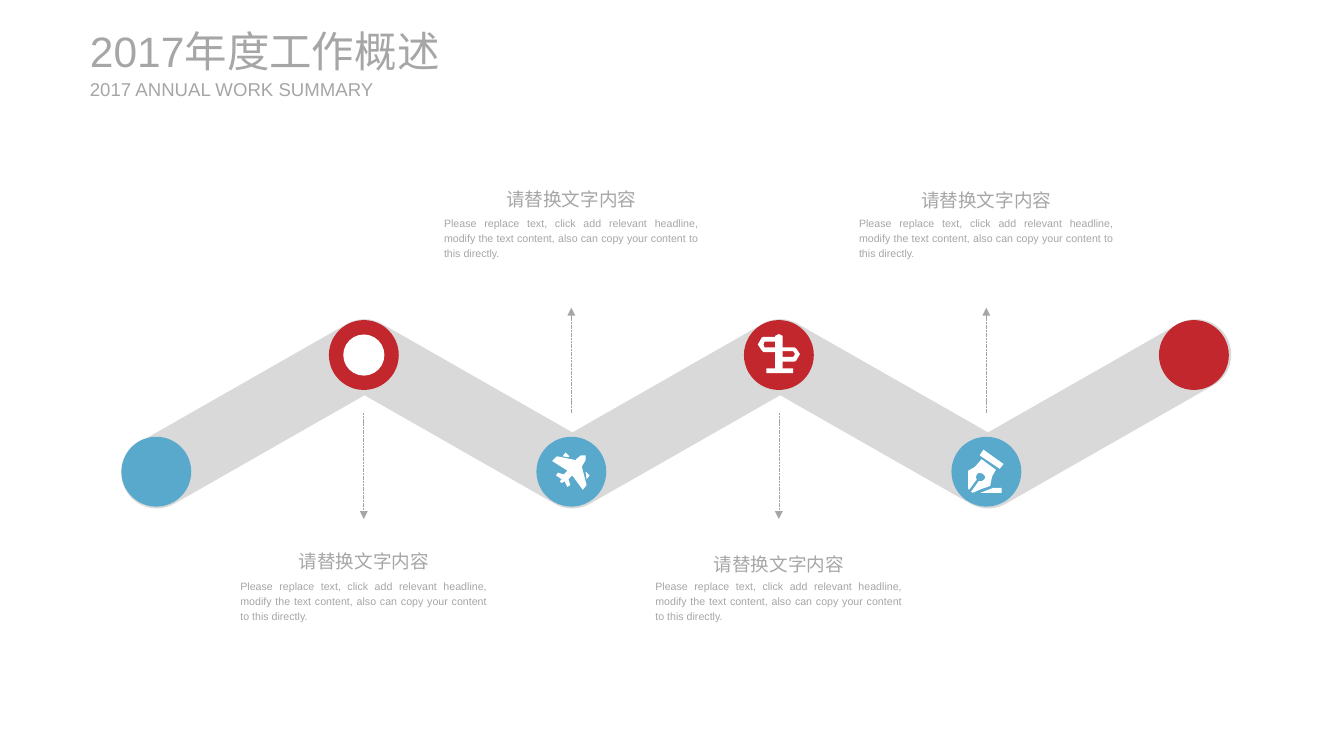
from collections import namedtuple
from math import atan2, cos, pi, sin

from lxml.etree import SubElement
from pptx import Presentation
from pptx.dml.color import RGBColor
from pptx.enum.dml import MSO_LINE
from pptx.enum.shapes import MSO_CONNECTOR, MSO_SHAPE
from pptx.enum.text import MSO_ANCHOR, MSO_AUTO_SIZE, PP_ALIGN
from pptx.oxml.ns import qn
from pptx.util import Inches, Pt

Box = namedtuple("Box", "left top width height")
Card = namedtuple("Card", "top width heading_gap")

SLIDE_WIDTH, SLIDE_HEIGHT = Inches(14.06), Inches(7.91)
COLUMN = SLIDE_WIDTH / 100

GRAY = RGBColor(0xA6, 0xA6, 0xA6)
BAND_GRAY = RGBColor(0xD9, 0xD9, 0xD9)
BLUE = RGBColor(0x58, 0xA9, 0xCC)
RED = RGBColor(0xC1, 0x27, 0x2D)
WHITE = RGBColor(0xFF, 0xFF, 0xFF)

FONT = "Arial"
HEADING = "请替换文字内容"
BODY = ("Please replace text, click add relevant headline, modify the text content, "
        "also can copy your content to this directly.")

TITLE_BOX = Box(6.69, 1.85, 30.73, 5.62)
BAND_BOX = Box(11.66, 26.39, 77.32, 8.82)
DISC_BOX = Box(11.63, 26.42, 77.2, 8.68)
STOPS = 6
BAND_RADIUS = 2.63
DISC_RADIUS = 2.6
DOT_STOP = 1
DOT_RADIUS = 1.53
ICON_UNITS = 36.5
ARROW_LENGTH = 7.86

CARDS = {
    1: Card(42.6, 19.77, 2.35),
    2: Card(15.58, 20.34, 2.28),
    3: Card(42.6, 19.77, 2.13),
    4: Card(15.58, 20.34, 2.2),
}

PLANE = [
    [(15, -17), (15, -12), (12, -7), (11, -5), (16, 14), (12, 19), (1, 4), (-3, 8),
     (-1, 14), (-4, 16), (-7, 10), (-10, 12), (-12, 10), (-10, 8), (-16, 4), (-14, 1),
     (-8, 3), (-4, -1), (-20, -11), (-15, -16), (5, -12), (5, -13), (10, -17)],
    [(19, 4), (15, 0), (15, 1), (16, 8)],
    [(-6, -20), (-9, -16), (-3, -15), (-2, -16)],
]
SIGNPOST = [
    [(-4, -14), (-15, -14), (-16, -11), (-15, -8), (-4, -8)],
    [(4, -8), (16, -8), (18, -7), (22, -1), (18, 6), (16, 7), (4, 7), (4, 14), (15, 14),
     (15, 19), (-13, 19), (-13, 14), (-4, 14), (-4, -3), (-16, -3), (-18, -5), (-22, -11),
     (-18, -18), (-16, -19), (-4, -19), (-4, -20), (0, -22), (4, -20)],
    [(15, -4), (4, -4), (4, 2), (15, 2), (17, -1)],
]
PEN = [
    [(-18, 19), (-19, 18), (-19, -1), (-12, -5), (-5, -13), (-1, -10), (10, -2), (6, 5),
     (4, 15), (-5, 18), (-14, 22), (-16, 21), (-8, 10), (-5, 10), (-2, 8), (-1, 5),
     (-4, 2), (-8, 1), (-10, 3), (-11, 6), (-10, 8)],
    [(-6, 22), (16, 22), (16, 17), (7, 17)],
    [(14, -3), (18, -8), (-3, -23), (-7, -17)],
]
ICONS = {2: PLANE, 3: SIGNPOST, 4: PEN}


def grid(*values):
    return [round(value * COLUMN) for value in values]


def arc(center, radius, start, end, steps=24):
    angles = [start + (end - start) * step / steps for step in range(steps + 1)]
    return [(center[0] + radius * cos(angle), center[1] + radius * sin(angle)) for angle in angles]


def write(shape, text, size, align=PP_ALIGN.LEFT, spacing=1.0, wrap=True,
          anchor=MSO_ANCHOR.TOP, margin=None):
    frame = shape.text_frame
    frame.auto_size = MSO_AUTO_SIZE.NONE
    frame.word_wrap = wrap
    frame.vertical_anchor = anchor
    if margin is not None:
        frame.margin_left = frame.margin_right = margin
        frame.margin_top = frame.margin_bottom = margin
    paragraph = frame.paragraphs[0]
    paragraph.alignment = align
    paragraph.line_spacing = spacing
    run = paragraph.add_run()
    run.text = text
    run.font.name = FONT
    run.font.size = Pt(size)
    run.font.color.rgb = GRAY


def paint(shape, color):
    shape.shadow.inherit = False
    shape.fill.solid()
    shape.fill.fore_color.rgb = color
    shape.line.fill.background()


def draw_circle(slide, center, radius, color):
    x, y = center
    circle = slide.shapes.add_shape(
        MSO_SHAPE.OVAL, *grid(x - radius, y - radius, 2 * radius, 2 * radius))
    paint(circle, color)


def draw_outline(slide, contours, color):
    contours = [[tuple(grid(*point)) for point in contour] for contour in contours]
    builder = slide.shapes.build_freeform(*contours[0][0], scale=1.0)
    for index, contour in enumerate(contours):
        if index:
            builder.move_to(*contour[0])
        builder.add_line_segments(contour[1:], close=True)
    paint(builder.convert_to_shape(), color)


def draw_icon(slide, center, icon):
    x, y = center
    unit = DISC_RADIUS / ICON_UNITS
    draw_outline(slide, [[(x + dx * unit, y + dy * unit) for dx, dy in contour]
                         for contour in icon], WHITE)


def zigzag(box):
    step = box.width / (STOPS - 1)
    return [(box.left + step * index, box.top + (0 if index % 2 else box.height))
            for index in range(STOPS)]


def draw_band(slide, box):
    points = zigzag(box)
    slope = atan2(box.height, box.width / (STOPS - 1))
    miter = BAND_RADIUS / cos(slope)
    lower, upper = pi / 2 - slope, -pi / 2 - slope
    outline = arc(points[0], BAND_RADIUS, lower, lower + pi)
    for index in range(1, STOPS - 1):
        x, y = points[index]
        outline += arc((x, y), BAND_RADIUS, upper, -lower) if index % 2 else [(x, y - miter)]
    outline += arc(points[-1], BAND_RADIUS, upper, lower)
    for index in range(STOPS - 2, 0, -1):
        x, y = points[index]
        outline += [(x, y + miter)] if index % 2 else arc((x, y), BAND_RADIUS, lower, pi - lower)
    draw_outline(slide, [outline], BAND_GRAY)


def draw_arrow(slide, x, start, end):
    arrow = slide.shapes.add_connector(MSO_CONNECTOR.STRAIGHT, *grid(x, start, x, end))
    arrow.line.color.rgb = GRAY
    arrow.line.width = Pt(0.5)
    arrow.line.dash_style = MSO_LINE.SQUARE_DOT
    SubElement(arrow.get_or_add_ln(), qn("a:tailEnd"), type="triangle")
    SubElement(arrow.element.spPr, qn("a:effectLst"))


def draw_card(slide, center, card):
    heading = slide.shapes.add_textbox(
        *grid(center - 5.62, card.top - card.heading_gap, 11.24, 2.56))
    write(heading, HEADING, 14, align=PP_ALIGN.CENTER, spacing=1.2, wrap=False)
    body = slide.shapes.add_textbox(*grid(center - card.width / 2, card.top, card.width, 4.05))
    write(body, BODY, 8, align=PP_ALIGN.JUSTIFY, spacing=1.2)


def draw_title(slide, box):
    title = slide.shapes.title
    title.left, title.top, title.width, title.height = grid(box.left, box.top, box.width, 3.84)
    write(title, "2017年度工作概述", 32, anchor=MSO_ANCHOR.MIDDLE, margin=0)
    subtitle = slide.shapes.add_textbox(
        *grid(box.left, box.top + box.height - 1.71, 21.83, 1.71))
    write(subtitle, "2017 ANNUAL WORK SUMMARY", 14, anchor=MSO_ANCHOR.MIDDLE, margin=0)


def draw_timeline(slide, box):
    middle = box.top + box.height / 2
    for index, center in enumerate(zigzag(box)):
        draw_circle(slide, center, DISC_RADIUS, RED if index % 2 else BLUE)
        if index == DOT_STOP:
            draw_circle(slide, center, DOT_RADIUS, WHITE)
        if index in ICONS:
            draw_icon(slide, center, ICONS[index])
        if index in CARDS:
            direction = 1 if index % 2 else -1
            draw_arrow(slide, center[0], middle, middle + direction * ARROW_LENGTH)
            draw_card(slide, center[0], CARDS[index])


def main():
    presentation = Presentation()
    presentation.slide_width, presentation.slide_height = SLIDE_WIDTH, SLIDE_HEIGHT
    slide = presentation.slides.add_slide(presentation.slide_layouts[5])
    draw_title(slide, TITLE_BOX)
    draw_band(slide, BAND_BOX)
    draw_timeline(slide, DISC_BOX)
    presentation.save("out.pptx")


if __name__ == "__main__":
    main()
